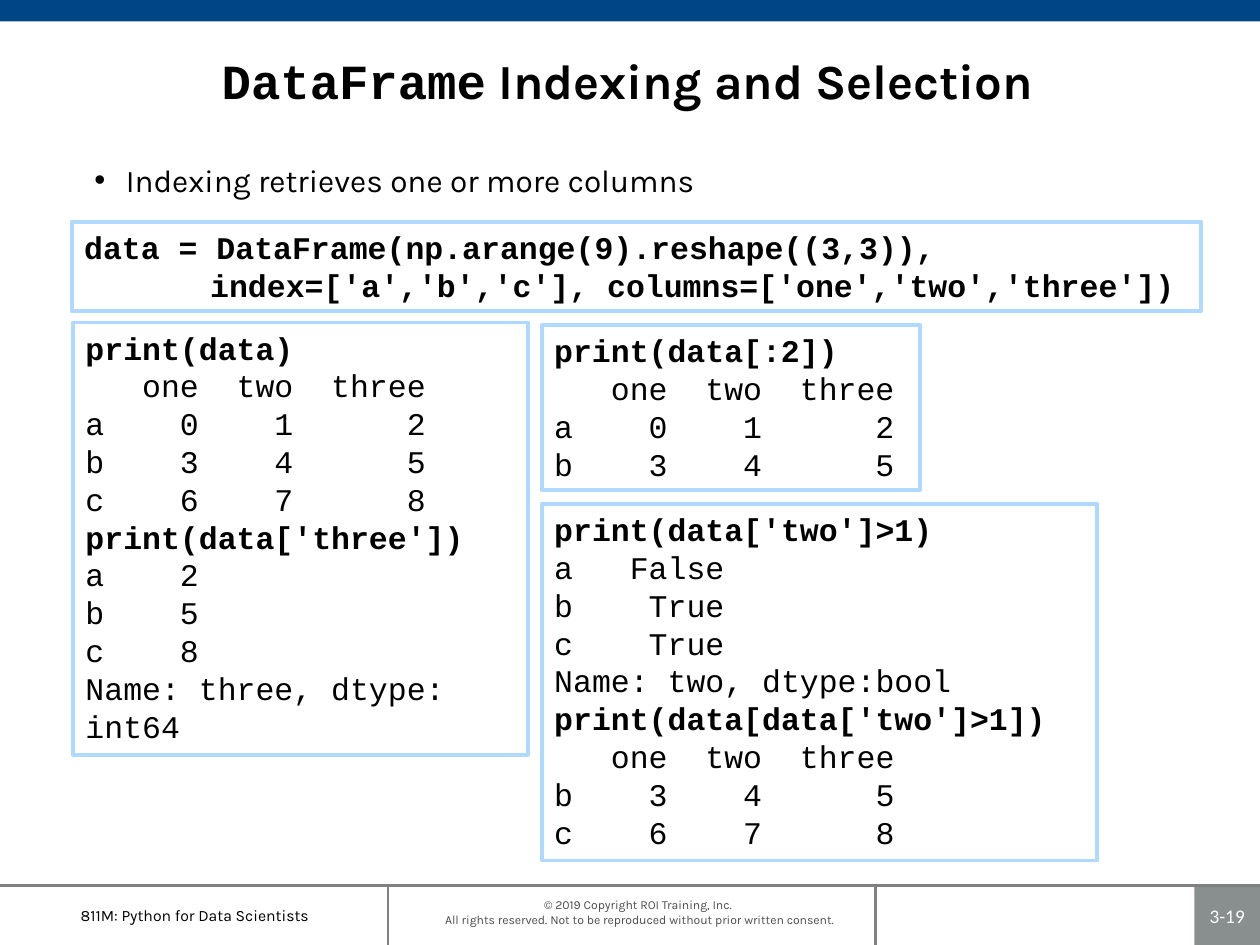
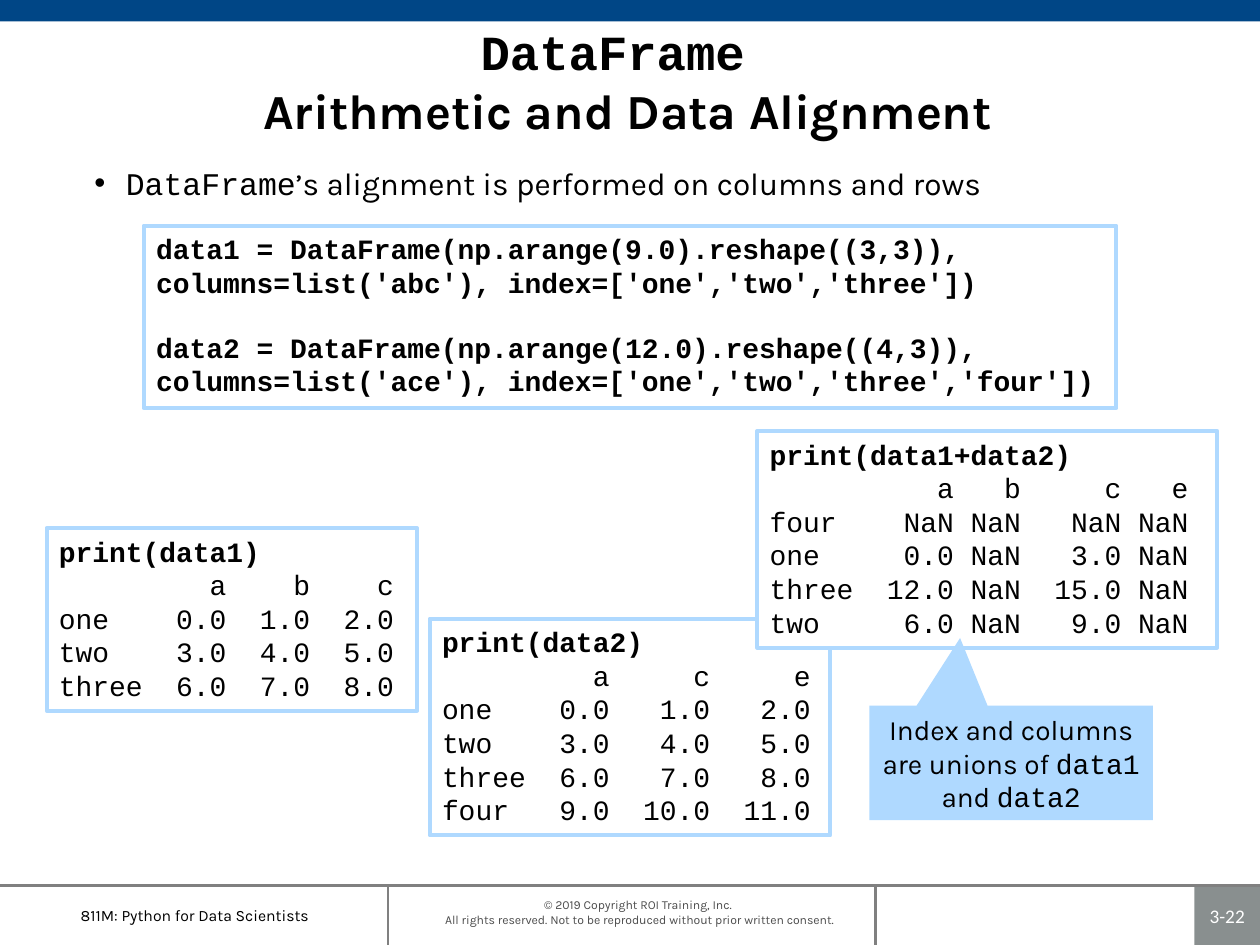
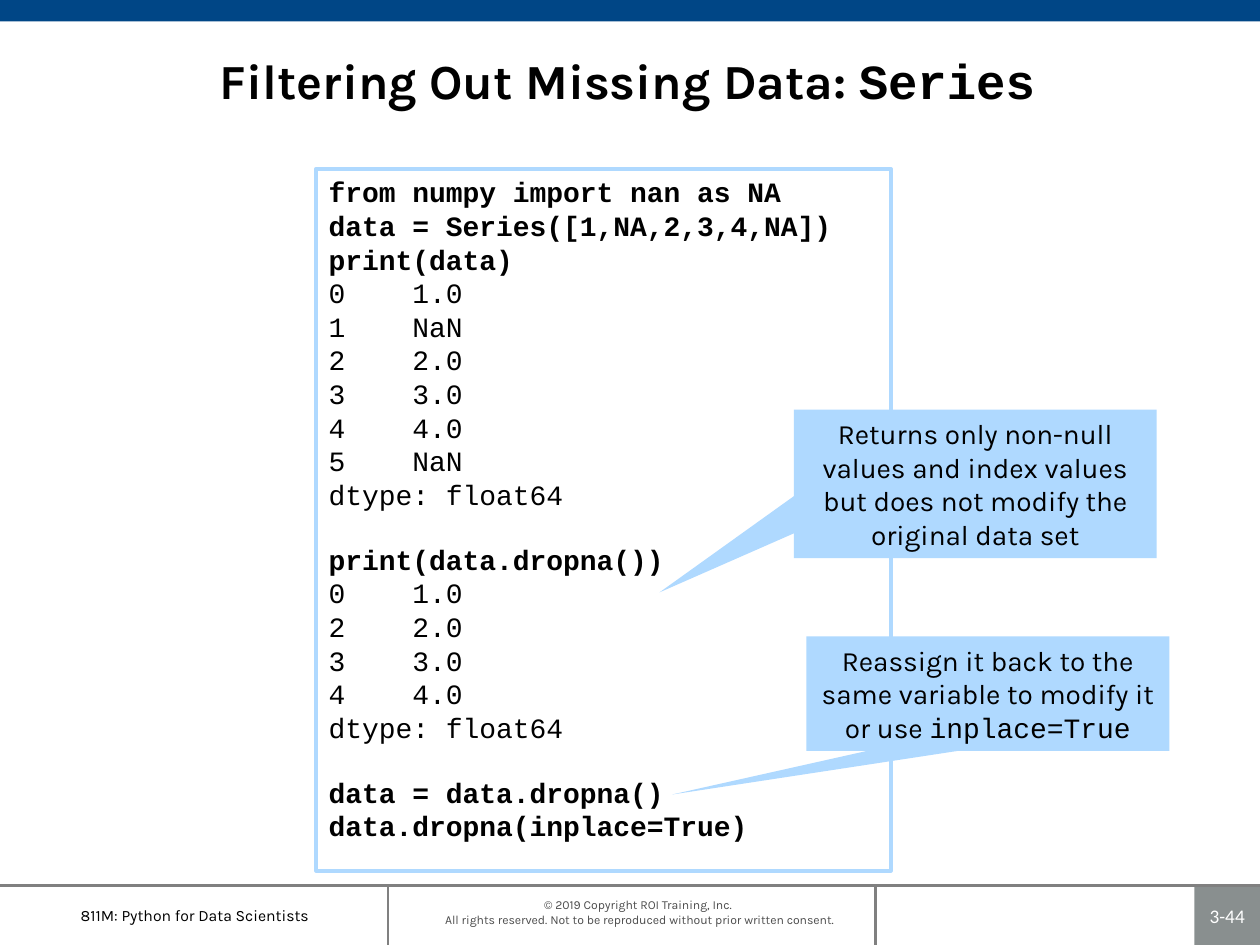
from lxml import etree
from pptx import Presentation, util as u
from pptx.dml import color
from pptx.enum import shapes, text
from pptx.oxml import ns

# Shared look
COLORS = {"band": "004686", "rule": "808080", "page": "898F8F", "notice": "4D4D4D",
          "accent": "AFD9FF", "ink": "000000", "paper": "FFFFFF"}
SANS, MONO = "Karla", "Courier New"
LEFT, CENTER = text.PP_ALIGN.LEFT, text.PP_ALIGN.CENTER
TOP, MIDDLE = text.MSO_ANCHOR.TOP, text.MSO_ANCHOR.MIDDLE
COURSE = "811M: Python for Data Scientists"
COPYRIGHT = ("© 2019 Copyright ROI Training, Inc. \v"
             "All rights reserved. Not to be reproduced without prior written consent.")
FOOTER_TOP = 7.03
FOOTER_RULES = [(6.95, FOOTER_TOP, 6.95, 7.5), (0, FOOTER_TOP, 10, FOOTER_TOP),
                (3.08, FOOTER_TOP, 3.08, 7.5)]

# Content: backticks mark code words; listings alternate input and output
SLIDES = [
    {"page": "3-19",
     "title": "`DataFrame` Indexing and Selection",
     "bullet": ("Indexing retrieves one or more columns", 1.23),
     "code_size": 18,
     "listings": [
         ((0.57, 1.76, 8.96, 0.71), ["""\
data = DataFrame(np.arange(9).reshape((3,3)),
\tindex=['a','b','c'], columns=['one','two','three'])"""]),
         ((0.58, 2.56, 3.61, 3.43), ["print(data)", """\
   one  two  three
a    0    1      2
b    3    4      5
c    6    7      8""", "print(data['three'])", """\
a    2
b    5
c    8
Name: three, dtype: int64"""]),
         ((4.3, 2.58, 3, 1.31), ["print(data[:2])", """\
   one  two  three
a    0    1      2
b    3    4      5"""]),
         ((4.3, 4, 4.41, 2.83), ["print(data['two']>1)", """\
a   False
b    True
c    True
Name: two, dtype:bool""", "print(data[data['two']>1])", """\
   one  two  three
b    3    4      5
c    6    7      8"""]),
     ],
     "callouts": []},
    {"page": "3-22",
     "title": "`DataFrame \v`Arithmetic and Data Alignment",
     "bullet": ("`DataFrame`’s alignment is performed on columns and rows", 1.25),
     "code_size": 16,
     "listings": [
         ((1.14, 1.79, 7.72, 1.45), ["""\
data1 = DataFrame(np.arange(9.0).reshape((3,3)),
columns=list('abc'), index=['one','two','three'])

data2 = DataFrame(np.arange(12.0).reshape((4,3)),
columns=list('ace'), index=['one','two','three','four'])"""]),
         ((0.37, 4.19, 2.94, 1.45), ["print(data1)", """\
         a    b    c
one    0.0  1.0  2.0
two    3.0  4.0  5.0
three  6.0  7.0  8.0"""]),
         ((3.41, 4.91, 3.18, 1.72), ["print(data2)", """\
         a     c     e
one    0.0   1.0   2.0
two    3.0   4.0   5.0
three  6.0   7.0   8.0
four   9.0  10.0  11.0"""]),
         ((6.01, 3.42, 3.65, 1.72), ["print(data1+data2)", """\
          a   b     c   e
four    NaN NaN   NaN NaN
one     0.0 NaN   3.0 NaN
three  12.0 NaN  15.0 NaN
two     6.0 NaN   9.0 NaN"""]),
     ],
     "callouts": [((6.9, 5.6, 2.25, 0.91), (-0.18, -1.09),
                   ["Index and columns are unions of `data1` and `data2`"])]},
    {"page": "3-44",
     "title": "Filtering Out Missing Data: `Series`",
     "bullet": None,
     "code_size": 16,
     "listings": [
         ((2.51, 1.34, 4.56, 5.57), ["""\
from numpy import nan as NA
data = Series([1,NA,2,3,4,NA])
print(data)""", """\
0    1.0
1    NaN
2    2.0
3    3.0
4    4.0
5    NaN
dtype: float64
""", "print(data.dropna())", """\
0    1.0
2    2.0
3    3.0
4    4.0
dtype: float64
""", """\
data = data.dropna()
data.dropna(inplace=True)"""]),
     ],
     "callouts": [
         ((6.3, 3.25, 2.88, 1.18), (-0.87, 0.73),
          ["Returns only non-null values and index values",
           "but does not modify the", "original data set"]),
         ((6.4, 5.05, 2.88, 0.91), (-0.87, 0.88),
          ["Reassign it back to the",
           "same variable to modify it or use `inplace=True`"]),
     ]},
]


def rgb(name):
    return color.RGBColor.from_string(COLORS[name])


def apply(target, values):
    for key, value in values.items():
        setattr(target, key, value)


def add_run(paragraph, words, font, size, ink="ink", bold=False):
    # A vertical tab stands for a line break inside the run
    for i, part in enumerate(words.split("\v")):
        if i:
            paragraph.add_line_break()
        if part:
            run = paragraph.add_run()
            run.text = part
            apply(run.font, {"name": font, "size": u.Pt(size), "bold": bold})
            run.font.color.rgb = rgb(ink)


def add_rich(paragraph, words, size, font=SANS, **look):
    for i, part in enumerate(words.split("`")):
        if part:
            add_run(paragraph, part, MONO if i % 2 else font, size, **look)


def prepare(shape, anchor, margins=(0.1, 0.05)):
    frame = shape.text_frame
    side, end = map(u.Inches, margins)
    apply(frame, {"word_wrap": True, "vertical_anchor": anchor, "margin_left": side,
                  "margin_right": side, "margin_top": end, "margin_bottom": end})
    return frame


def paragraphs(frame, lines, align):
    for i, line in enumerate(lines):
        paragraph = frame.add_paragraph() if i else frame.paragraphs[0]
        paragraph.alignment = align
        yield paragraph, line


def add_label(slide, box, words, size, anchor=MIDDLE, align=CENTER,
              margins=(0.1, 0.05), **look):
    label = slide.shapes.add_textbox(*map(u.Inches, box))
    paragraph = prepare(label, anchor, margins).paragraphs[0]
    paragraph.alignment = align
    add_rich(paragraph, words, size, **look)
    return paragraph


def add_block(slide, box, fill, outline=None, kind=shapes.MSO_SHAPE.RECTANGLE):
    block = slide.shapes.add_shape(kind, *map(u.Inches, box))
    block.shadow.inherit = False
    block.fill.solid()
    block.fill.fore_color.rgb = rgb(fill)
    if outline:
        block.line.color.rgb = rgb(outline)
        block.line.width = u.Pt(2.25)
    else:
        block.line.fill.background()
    return block


def add_rule(slide, ends):
    rule = slide.shapes.add_connector(shapes.MSO_CONNECTOR.STRAIGHT, *map(u.Inches, ends))
    rule.line.color.rgb = rgb("rule")
    rule.line.width = u.Pt(1.5)
    etree.SubElement(rule._element.spPr, ns.qn("a:effectLst"))


def add_frame(slide, page):
    # Footer cells and top band
    number = add_block(slide, (9.48, FOOTER_TOP, 0.52, 0.47), "page")
    paragraph = prepare(number, MIDDLE, (0.04, 0.04)).paragraphs[0]
    paragraph.alignment = CENTER
    add_rich(paragraph, page, 11, font="Calibri", ink="paper")
    for ends in FOOTER_RULES:
        add_rule(slide, ends)
    add_label(slide, (2.45, 7.12, 5.25, 0.24), COPYRIGHT, 7, TOP,
              margins=(0.1, 0), ink="notice")
    add_label(slide, (0, FOOTER_TOP, 3.09, 0.47), COURSE, 9)
    add_block(slide, (0, 0, 10, 0.17), "band")


def add_bullet(slide, words, top):
    paragraph = add_label(slide, (0.65, top, 8.77, 5.4), words, 18, TOP, LEFT)
    props = paragraph._p.get_or_add_pPr()
    apply_indent = {"marL": u.Inches(0.25), "indent": u.Inches(-0.25)}
    for key, value in apply_indent.items():
        props.set(key, str(value))
    bullet_color = etree.SubElement(props, ns.qn("a:buClr"))
    etree.SubElement(bullet_color, ns.qn("a:srgbClr"), val=COLORS["ink"])
    etree.SubElement(props, ns.qn("a:buFont"), typeface="Arial")
    etree.SubElement(props, ns.qn("a:buChar"), char="•")


def add_listing(slide, box, parts, size):
    lines, after_gap = [], False
    for i, part in enumerate(parts):
        for line in part.split("\n"):
            if line:
                lines.append((line, i % 2 == 0, after_gap))
            after_gap = not line
    frame = prepare(add_block(slide, box, "paper", "accent"), TOP)
    for paragraph, (line, is_input, gap) in paragraphs(frame, lines, LEFT):
        if gap:  # an empty code line becomes one line of space
            paragraph.space_before = u.Pt(round(size * 1.13))
        if line.startswith("\t"):
            paragraph._p.get_or_add_pPr().set("marL", str(u.Inches(1)))
        add_run(paragraph, line.lstrip("\t"), MONO, size, bold=is_input)


def add_callout(slide, box, tip, lines):
    callout = add_block(slide, box, "accent", kind=shapes.MSO_SHAPE.RECTANGULAR_CALLOUT)
    for i, offset in enumerate(tip):
        callout.adjustments[i] = offset
    for paragraph, line in paragraphs(prepare(callout, MIDDLE), lines, CENTER):
        add_rich(paragraph, line, 16)


def main():
    deck = Presentation()
    apply(deck, {"slide_width": u.Inches(10), "slide_height": u.Inches(7.5)})
    for content in SLIDES:
        slide = deck.slides.add_slide(deck.slide_layouts[6])
        add_frame(slide, content["page"])
        if content["bullet"]:
            add_bullet(slide, *content["bullet"])
        add_label(slide, (1.15, 0.29, 7.66, 0.69), content["title"], 28, bold=True)
        for box, parts in content["listings"]:
            add_listing(slide, box, parts, content["code_size"])
        for callout in content["callouts"]:
            add_callout(slide, *callout)
    deck.save("out.pptx")


if __name__ == "__main__":
    main()
